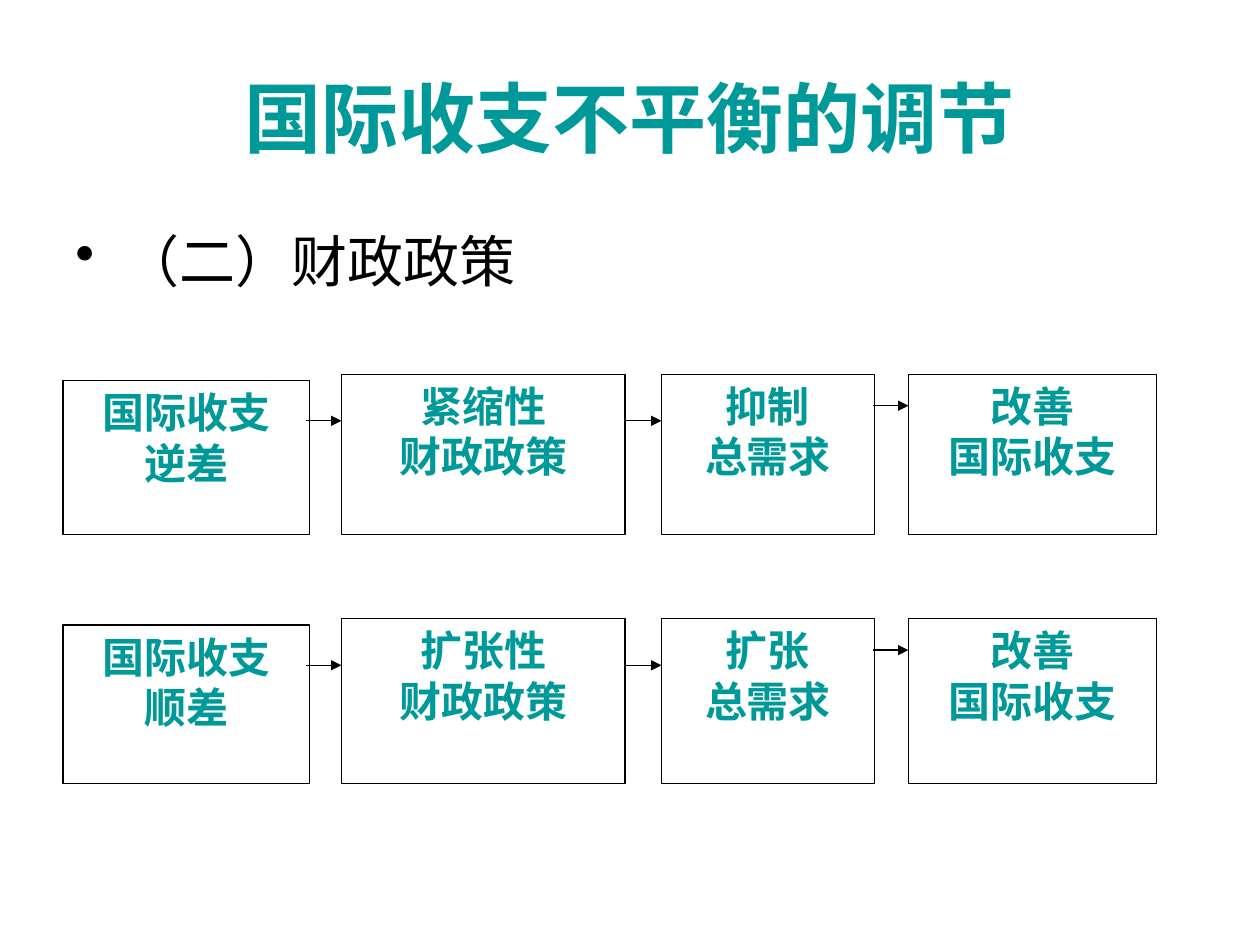
from dataclasses import dataclass

from lxml import etree
from pptx import Presentation
from pptx import util as u
from pptx.dml.color import RGBColor
from pptx.enum import shapes, text
from pptx.oxml.ns import qn

TEAL, BLACK, WHITE = "009999", "000000", "FFFFFF"


@dataclass
class Column:
    left: float
    width: float
    drop: float = 0  # offset below the top of the row


@dataclass
class Arrow:
    start: float
    end: float
    drop: float


@dataclass
class Row:
    top: float
    bottom: float
    labels: list[tuple[str, str]]


COLUMNS = [Column(0.5, 1.96, 0.05), Column(2.71, 2.25),
           Column(5.25, 1.69), Column(7.21, 1.97)]
ARROWS = [Arrow(2.43, 2.71, 0.37), Arrow(4.96, 5.25, 0.37),
          Arrow(6.93, 7.21, 0.25)]
ROWS = [
    Row(2.97, 4.24, [("国际收支", "逆差"), ("紧缩性", "财政政策"),
                     ("抑制", "总需求"), ("改善", "国际收支")]),
    Row(4.91, 6.22, [("国际收支", "顺差"), ("扩张性", "财政政策"),
                     ("扩张", "总需求"), ("改善", "国际收支")]),
]


def rgb(color: str) -> RGBColor:
    return RGBColor.from_string(color)


def set_font(p, name: str, size: float, color: str, bold: bool = False) -> None:
    p.font.name, p.font.size, p.font.bold = name, u.Pt(size), bold
    p.font.color.rgb = rgb(color)


def add_box(group, col: Column, row: Row, lines: tuple[str, str]) -> None:
    top = row.top + col.drop
    sp = group.shapes.add_shape(
        shapes.MSO_SHAPE.RECTANGLE, u.Inches(col.left), u.Inches(top),
        u.Inches(col.width), u.Inches(row.bottom - top))
    sp.shadow.inherit = False
    sp.fill.solid()
    sp.fill.fore_color.rgb = rgb(WHITE)
    sp.line.color.rgb = rgb(BLACK)
    sp.line.width = u.Pt(0.75)
    tf = sp.text_frame
    tf.word_wrap = True
    tf.vertical_anchor = text.MSO_ANCHOR.TOP
    tf.text = "\n".join(lines)
    for p in tf.paragraphs:
        p.alignment = text.PP_ALIGN.CENTER
        set_font(p, "Times New Roman", 24, TEAL, bold=True)


def add_arrow(group, arrow: Arrow, top: float) -> None:
    y = u.Inches(top + arrow.drop)
    line = group.shapes.add_connector(
        shapes.MSO_CONNECTOR.STRAIGHT, u.Inches(arrow.start), y,
        u.Inches(arrow.end), y)
    line.line.color.rgb = rgb(BLACK)
    line.line.width = u.Pt(0.75)
    ln = line.line._get_or_add_ln()
    etree.SubElement(ln, qn("a:tailEnd"), type="triangle")
    etree.SubElement(line._element.spPr, qn("a:effectLst"))


def add_row(slide, row: Row) -> None:
    group = slide.shapes.add_group_shape()
    for col, lines in zip(COLUMNS, row.labels):
        add_box(group, col, row, lines)
    for arrow in ARROWS:
        add_arrow(group, arrow, row.top)


def add_title(slide, title: str) -> None:
    sp = slide.shapes.title
    sp.left, sp.top = u.Inches(0.5), u.Inches(0.3)
    sp.width, sp.height = u.Inches(9), u.Inches(1.25)
    tf = sp.text_frame
    tf.text = title
    tf.auto_size = text.MSO_AUTO_SIZE.NONE
    tf.vertical_anchor = text.MSO_ANCHOR.MIDDLE
    p = tf.paragraphs[0]
    p.alignment = text.PP_ALIGN.CENTER
    set_font(p, "Arial", 44, TEAL, bold=True)


def add_bullet(slide, wording: str) -> None:
    sp = slide.shapes.add_textbox(u.Inches(0.5), u.Inches(1.75),
                                  u.Inches(9), u.Inches(4.95))
    tf = sp.text_frame
    tf.word_wrap = True
    p = tf.paragraphs[0]
    p.text = wording
    p.space_before = u.Pt(8)
    set_font(p, "Arial", 32, BLACK)
    # Hanging bullet, placed ahead of the default run properties
    pPr = p._p.get_or_add_pPr()
    indent = u.Inches(0.38)
    pPr.set("marL", str(indent))
    pPr.set("indent", str(-indent))
    bullet = etree.Element(qn("a:buChar"), char="•")
    pPr.find(qn("a:defRPr")).addprevious(bullet)


def main() -> None:
    prs = Presentation()
    prs.slide_width, prs.slide_height = u.Inches(10), u.Inches(7.5)
    slide = prs.slides.add_slide(prs.slide_layouts[5])  # title only

    # Heading and topic
    add_title(slide, "国际收支不平衡的调节")
    add_bullet(slide, "（二）财政政策")

    # Deficit and surplus chains
    for row in ROWS:
        add_row(slide, row)

    prs.save("out.pptx")


if __name__ == "__main__":
    main()
